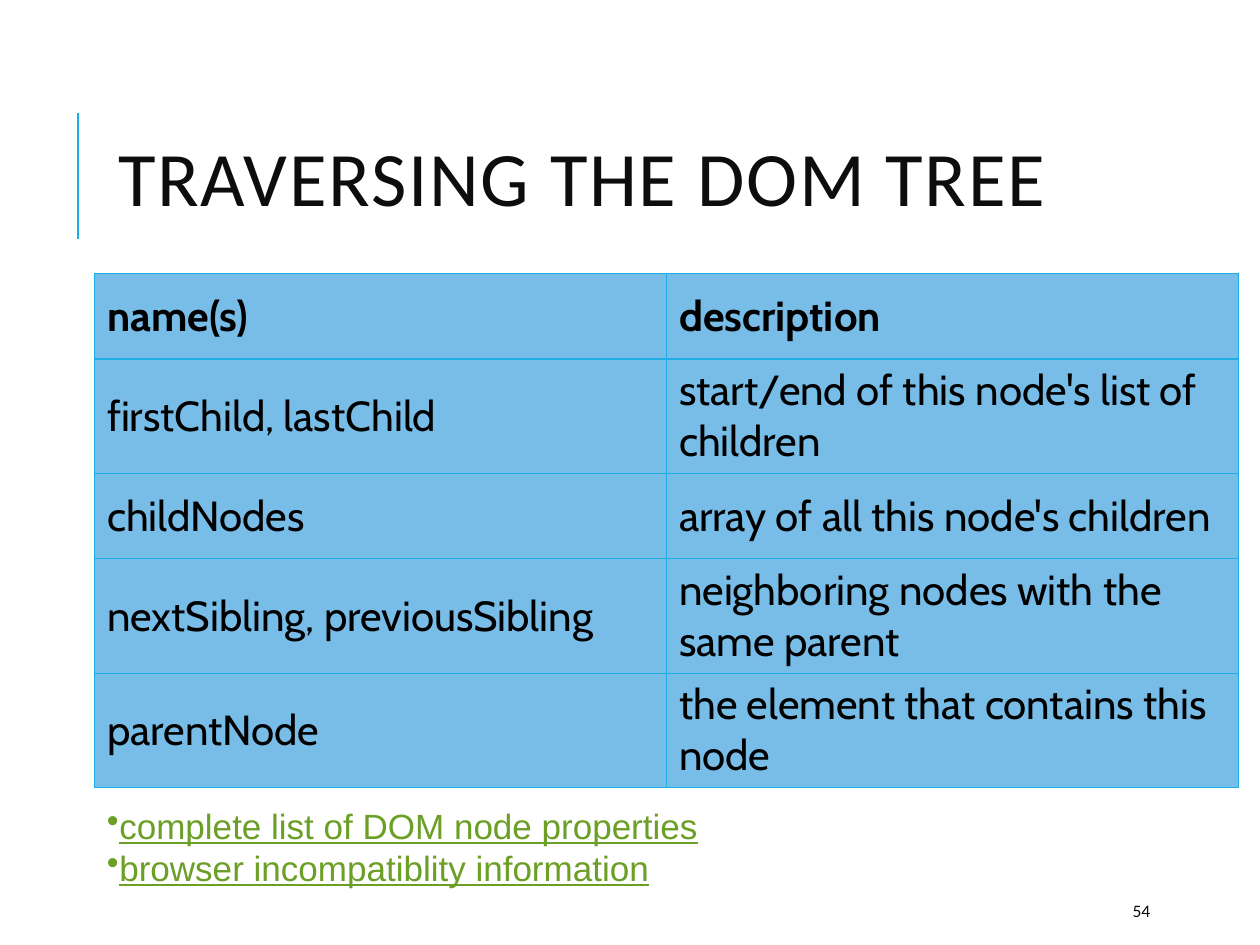
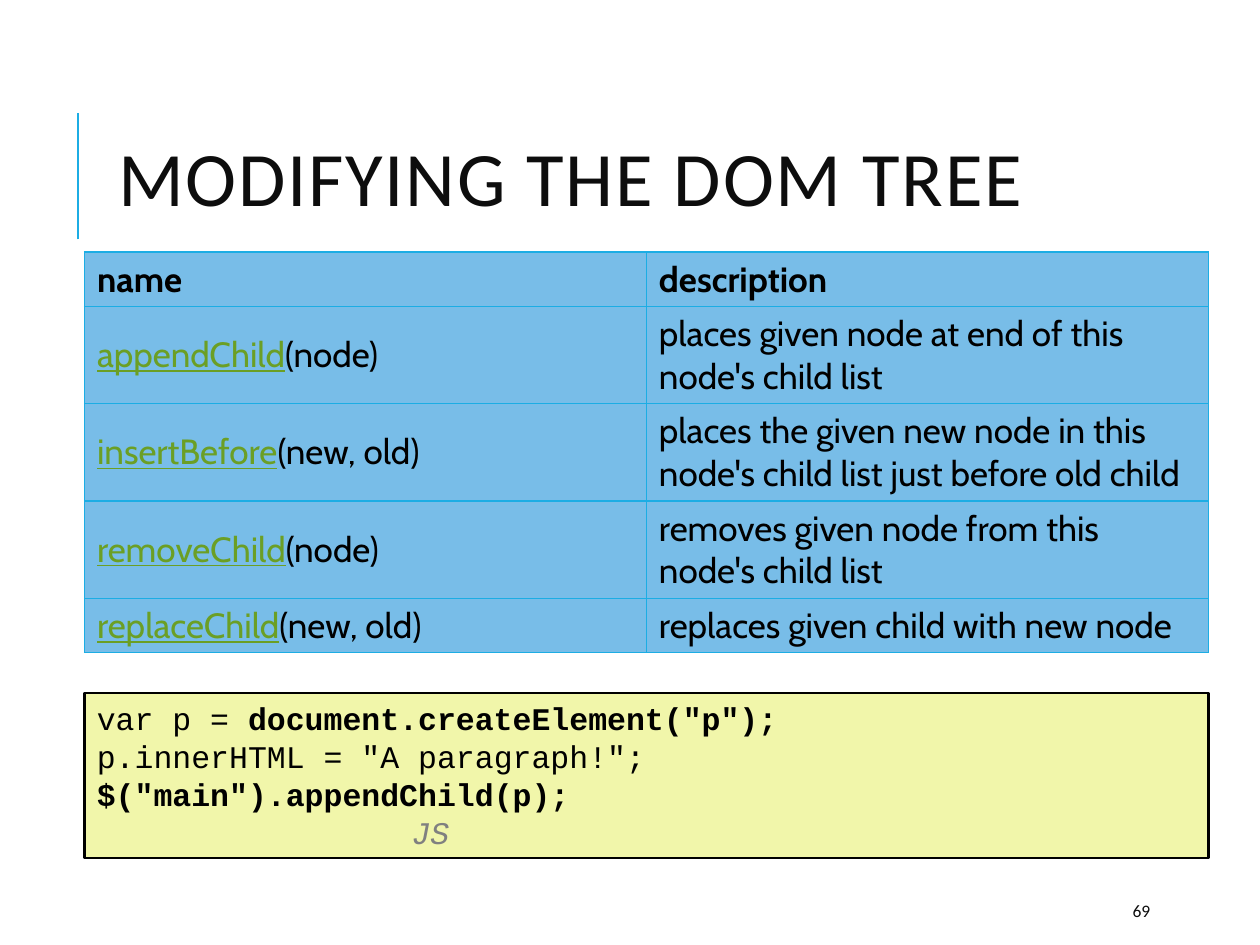
"""Two slides on traversing and modifying the DOM tree."""
from dataclasses import dataclass

from lxml import etree
from pptx import Presentation
from pptx.dml.color import RGBColor
from pptx.enum.shapes import MSO_CONNECTOR, MSO_SHAPE
from pptx.enum.text import MSO_ANCHOR, PP_ALIGN
from pptx.oxml.ns import qn
from pptx.util import Inches, Pt

STRAIGHT = MSO_CONNECTOR.STRAIGHT
RECTANGLE = MSO_SHAPE.RECTANGLE
MIDDLE, TOP = MSO_ANCHOR.MIDDLE, MSO_ANCHOR.TOP
LEFT = PP_ALIGN.LEFT
BLANK_LAYOUT = 6


@dataclass(frozen=True)
class Theme:
    """Colours, fonts and type sizes of the slides."""
    accent: str = "1CADE4"
    heading: str = "0D0D0D"
    text: str = "000000"
    link: str = "6B9F25"
    muted: str = "808080"
    cell: str = "78BDE8"
    code_fill: str = "F1F6AA"
    heading_font: str = "Calibri"
    table_font: str = "Cabin"
    list_font: str = "Arial"
    code_font: str = "Courier New"
    title_size: int = 44
    large_size: int = 24
    body_size: int = 20
    code_size: int = 18
    number_size: int = 10
    rule: float = 1.5
    border: float = 0.75


THEME = Theme()


@dataclass(frozen=True)
class Box:
    """A rectangle that can be divided by percentages."""
    left: int
    top: int
    width: int
    height: int

    def area(self, left, top, width, height):
        """Return the inner box at the given percentages of this one."""
        return Box(self.left + round(self.width * left / 100),
                   self.top + round(self.height * top / 100),
                   round(self.width * width / 100),
                   round(self.height * height / 100))

    @property
    def bounds(self):
        """Return left, top, width and height in order."""
        return self.left, self.top, self.width, self.height


PAGE = Box(0, 0, Inches(10), Inches(7.5))


def color(value):
    """Turn a hex string into a colour."""
    return RGBColor.from_string(value)


def style(font, name, size, hue, bold=False):
    """Set the main properties of a font."""
    font.name, font.size, font.bold = name, Pt(size), bold
    font.color.rgb = color(hue)


def add_text_box(slide, box, anchor=MIDDLE, wrap=True):
    """Add an empty text box and return its text frame."""
    frame = slide.shapes.add_textbox(*box.bounds).text_frame
    frame.word_wrap = wrap
    frame.vertical_anchor = anchor
    return frame


def paragraphs_for(frame, items):
    """Yield each item with its own paragraph of the frame."""
    for index, item in enumerate(items):
        yield frame.add_paragraph() if index else frame.paragraphs[0], item


def add_heading(slide, box, title):
    """Draw the accent rule and the title beside it."""
    rule_box = box.area(0, 15.85, 0, 60.98)
    rule = slide.shapes.add_connector(
        STRAIGHT, rule_box.left, rule_box.top + rule_box.height, rule_box.left, rule_box.top)
    rule.line.color.rgb = color(THEME.accent)
    rule.line.width = Pt(THEME.rule)
    etree.SubElement(rule._element.spPr, qn("a:effectLst"))
    paragraph = add_text_box(slide, box.area(2.69, 0, 97.31, 100)).paragraphs[0]
    paragraph.line_spacing = 0.8
    style(paragraph.font, THEME.heading_font, THEME.title_size, THEME.heading)
    run = paragraph.add_run()
    run.text = title
    run._r.get_or_add_rPr().set("spc", "100")


def add_page_number(slide, box, number):
    """Write the page number."""
    paragraph = add_text_box(slide, box).paragraphs[0]
    paragraph.text = str(number)
    style(paragraph.font, THEME.heading_font, THEME.number_size, THEME.heading)


def add_borders(cell):
    """Draw a thin accent line on every side of a cell."""
    properties = cell._tc.get_or_add_tcPr()
    for side in ("lnL", "lnR", "lnT", "lnB"):
        line = etree.SubElement(properties, qn(f"a:{side}"), w=str(int(Pt(THEME.border))))
        fill = etree.SubElement(line, qn("a:solidFill"))
        etree.SubElement(fill, qn("a:srgbClr"), val=THEME.accent)


def fill_cell(cell, content, size, bold):
    """Write a cell; a pair holds a linked name and its arguments."""
    add_borders(cell)
    cell.fill.solid()
    cell.fill.fore_color.rgb = color(THEME.cell)
    cell.vertical_anchor = MIDDLE
    paragraph = cell.text_frame.paragraphs[0]
    style(paragraph.font, THEME.table_font, size, THEME.text, bold)
    if isinstance(content, str):
        paragraph.text = content
        return
    for text, linked in zip(content, (True, False)):
        run = paragraph.add_run()
        run.text = text
        if linked:
            run.font.underline = True
            run.font.color.rgb = color(THEME.link)


def add_reference_table(slide, box, rows, weights, size):
    """Draw a table with equal columns and weighted row heights."""
    columns = len(rows[0])
    table = slide.shapes.add_table(len(rows), columns, *box.bounds).table
    table.first_row = table.horz_banding = False
    for column in table.columns:
        column.width = box.width // columns
    for index, (row, weight) in enumerate(zip(rows, weights)):
        table.rows[index].height = round(box.height * weight / sum(weights))
        for position, content in enumerate(row):
            fill_cell(table.cell(index, position), content, size, index == 0)


def add_link_list(slide, box, entries):
    """List underlined entries with bullets."""
    frame = add_text_box(slide, box, wrap=False)
    for paragraph, entry in paragraphs_for(frame, entries):
        properties = paragraph._p.get_or_add_pPr()
        etree.SubElement(properties, qn("a:buChar"), char="•")
        style(paragraph.font, THEME.list_font, THEME.body_size, THEME.link)
        run = paragraph.add_run()
        run.text = entry
        run.font.underline = True


def add_code_panel(slide, box, lines, language):
    """Show code as plain and bold runs, then the language name."""
    panel = slide.shapes.add_shape(RECTANGLE, *box.bounds)
    panel.shadow.inherit = False
    panel.fill.solid()
    panel.fill.fore_color.rgb = color(THEME.code_fill)
    panel.line.color.rgb = color(THEME.text)
    panel.line.width = Pt(THEME.rule)
    frame = panel.text_frame
    frame.word_wrap = True
    frame.vertical_anchor = TOP
    for paragraph, line in paragraphs_for(frame, lines):
        paragraph.alignment = LEFT
        style(paragraph.font, THEME.code_font, THEME.code_size, THEME.text)
        for text, bold in line:
            run = paragraph.add_run()
            run.text = text
            run.font.bold = bold
            run.font.color.rgb = color(THEME.text)
    label = frame.add_paragraph()
    label.alignment = LEFT
    label._p.get_or_add_pPr().set("marL", str(round(box.width * 0.28)))
    style(label.font, THEME.code_font, THEME.code_size, THEME.muted)
    label.font.italic = True
    run = label.add_run()
    run.text = language
    run.font.color.rgb = color(THEME.muted)


def add_base_slide(presentation, title, number):
    """Add a blank slide with its heading and page number."""
    slide = presentation.slides.add_slide(presentation.slide_layouts[BLANK_LAYOUT])
    add_heading(slide, PAGE.area(6.2, 8.53, 81.9, 21.87), title)
    add_page_number(slide, PAGE.area(88.9, 94.4, 8, 4), number)
    return slide


def add_traversing_slide(presentation):
    """Build the slide on moving through the tree."""
    slide = add_base_slide(presentation, "TRAVERSING THE DOM TREE", 54)
    rows = [
        ("name(s)", "description"),
        ("firstChild, lastChild", "start/end of this node's list of children"),
        ("childNodes", "array of all this node's children"),
        ("nextSibling, previousSibling", "neighboring nodes with the same parent"),
        ("parentNode", "the element that contains this node"),
    ]
    add_reference_table(slide, PAGE.area(7.5, 28.93, 90.8, 54.4), rows,
                        (3, 4, 3, 4, 4), THEME.large_size)
    add_link_list(slide, PAGE.area(7.5, 84.4, 50, 10.27),
                  ("complete list of DOM node properties",
                   "browser incompatiblity information"))


def add_modifying_slide(presentation):
    """Build the slide on changing the tree."""
    slide = add_base_slide(presentation, "MODIFYING THE DOM TREE", 69)
    code = [
        [("var p = ", False), ('document.createElement("p");', True)],
        [('p.innerHTML = "A paragraph!";', False)],
        [('$("main").appendChild(p);', True)],
    ]
    add_code_panel(slide, PAGE.area(6.7, 73.33, 89.2, 17.47), code, "JS")
    rows = [
        ("name", "description"),
        (("appendChild", "(node)"), "places given node at end of this node's child list"),
        (("insertBefore", "(new, old)"),
         "places the given new node in this node's child list just before old child"),
        (("removeChild", "(node)"), "removes given node from this node's child list"),
        (("replaceChild", "(new, old)"), "replaces given child with new node"),
    ]
    add_reference_table(slide, PAGE.area(6.7, 26.67, 89.2, 42.27), rows,
                        (5, 9, 9, 9, 5), THEME.body_size)


def main():
    """Build and save the presentation."""
    presentation = Presentation()
    presentation.slide_width, presentation.slide_height = PAGE.width, PAGE.height
    add_traversing_slide(presentation)
    add_modifying_slide(presentation)
    presentation.save("out.pptx")


if __name__ == "__main__":
    main()
